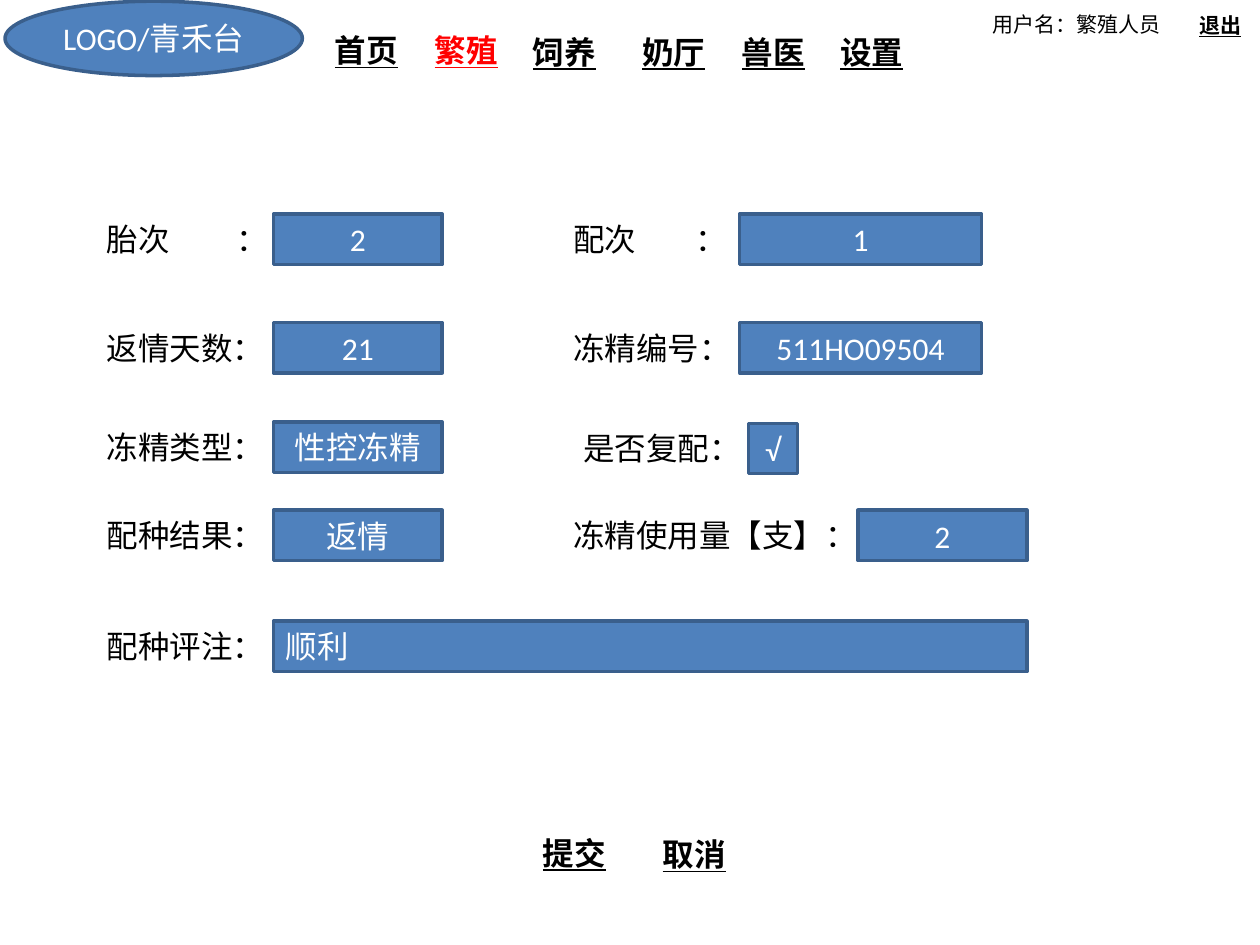
from dataclasses import dataclass
from pptx import Presentation, util as u
from pptx.dml.color import RGBColor
from pptx.enum import shapes, text
from pptx.oxml import parse_xml
from pptx.oxml.ns import nsdecls


@dataclass(frozen=True)
class Theme:
    """Colours, font and type sizes."""
    font: str = "Calibri"
    body: int = 18
    small: int = 12
    ink: str = "000000"
    hot: str = "FF0000"
    pale: str = "FFFFFF"
    fill: str = "4F81BD"
    edge: str = "3A5F8C"
    line: int = 2


T = Theme()
HIGH = 0.4
LEFT, RIGHT = 0.75, 4.45
FIELD, WIDE = 2.17, 5.87
CELL = 1.34
LINK = 0.71

LOGO = "LOGO/青禾台"
MENU = [
    ("首页", 2.56, 0.2), ("繁殖", 3.35, 0.2), ("饲养", 4.13, 0.21),
    ("奶厅", 5, 0.21), ("兽医", 5.79, 0.21), ("设置", 6.57, 0.21),
]
ACTIVE = "繁殖"
ACTS = [("提交", 4.21, 6.57), ("取消", 5.16, 6.58)]

# Each row: top, then (label, left, width, value, field left, field width)
ROWS = [
    (1.7, ("胎次\t：", LEFT, 1.48, "2", FIELD, CELL)),
    (1.7, ("配次\t：", RIGHT, 1.42, "1", WIDE, 1.92)),
    (2.56, ("返情天数：", LEFT, 1.46, "21", FIELD, CELL)),
    (2.56, ("冻精编号：", RIGHT, 1.46, "511HO09504", WIDE, 1.92)),
    (3.35, ("冻精类型：", LEFT, 1.46, "性控冻精", FIELD, CELL)),
    (3.36, ("是否复配：", 4.53, 1.46, "√", 5.94, 0.39)),
    (4.05, ("配种结果：", LEFT, 1.46, "返情", FIELD, CELL)),
    (4.05, ("冻精使用量【支】：", RIGHT, 2.47, "2", 6.81, CELL)),
    (4.93, ("配种评注：", LEFT, 1.46, "顺利", FIELD, 5.98)),
]
NOTE = "顺利"


def rgb(code):
    """Turn a hex code into a colour."""
    return RGBColor.from_string(code)


def write(par, words, color, size=T.body, bold=False):
    """Add one run; bold runs are underlined links."""
    run = par.add_run()
    run.text = words
    font = run.font
    font.name, font.size = T.font, u.Pt(size)
    font.color.rgb = rgb(color)
    if bold:
        font.bold = font.underline = True


def label(slide, words, x, y, w, h=HIGH, color=T.ink, size=T.body, bold=False):
    """Place a line of text; a tab sets its colon near the right edge."""
    box = slide.shapes.add_textbox(*map(u.Inches, (x, y, w, h)))
    frame = box.text_frame
    frame.word_wrap = False
    frame.auto_size = text.MSO_AUTO_SIZE.SHAPE_TO_FIT_TEXT
    par = frame.paragraphs[0]
    if "\t" in words:
        stop = u.Inches(w - 0.2) - u.Pt(size)
        tabs = f'<a:tabLst {nsdecls("a")}><a:tab pos="{stop}" algn="l"/></a:tabLst>'
        par._p.get_or_add_pPr().append(parse_xml(tabs))
    write(par, words, color, size, bold)


def block(slide, kind, words, x, y, w, h=HIGH, align=text.PP_ALIGN.CENTER):
    """Place a filled shape holding a value."""
    shape = slide.shapes.add_shape(kind, *map(u.Inches, (x, y, w, h)))
    shape.shadow.inherit = False
    shape.fill.solid()
    shape.fill.fore_color.rgb = rgb(T.fill)
    shape.line.color.rgb = rgb(T.edge)
    shape.line.width = u.Pt(T.line)
    frame = shape.text_frame
    frame.word_wrap = True
    frame.vertical_anchor = text.MSO_ANCHOR.MIDDLE
    par = frame.paragraphs[0]
    par.alignment = align
    write(par, words, T.pale)


def build():
    """Build the form slide and save it."""
    deck = Presentation()
    deck.slide_width, deck.slide_height = u.Inches(10), u.Inches(7.5)
    slide = deck.slides.add_slide(deck.slide_layouts[6])
    kind = shapes.MSO_SHAPE

    block(slide, kind.OVAL, LOGO, 0.04, 0.01, 2.36, 0.59)
    for name, x, y in MENU:
        color = T.hot if name == ACTIVE else T.ink
        label(slide, name, x, y, LINK, color=color, bold=True)
    label(slide, "用户名：繁殖人员", 7.78, 0.04, 1.55, 0.3, size=T.small)
    label(slide, "退出", 9.42, 0.05, 0.54, 0.3, size=T.small, bold=True)

    for y, (name, x, w, value, left, wide) in ROWS:
        label(slide, name, x, y, w)
        side = text.PP_ALIGN.LEFT if value == NOTE else text.PP_ALIGN.CENTER
        block(slide, kind.RECTANGLE, value, left, y, wide, align=side)

    for name, x, y in ACTS:
        label(slide, name, x, y, LINK, bold=True)
    deck.save("out.pptx")


build()
